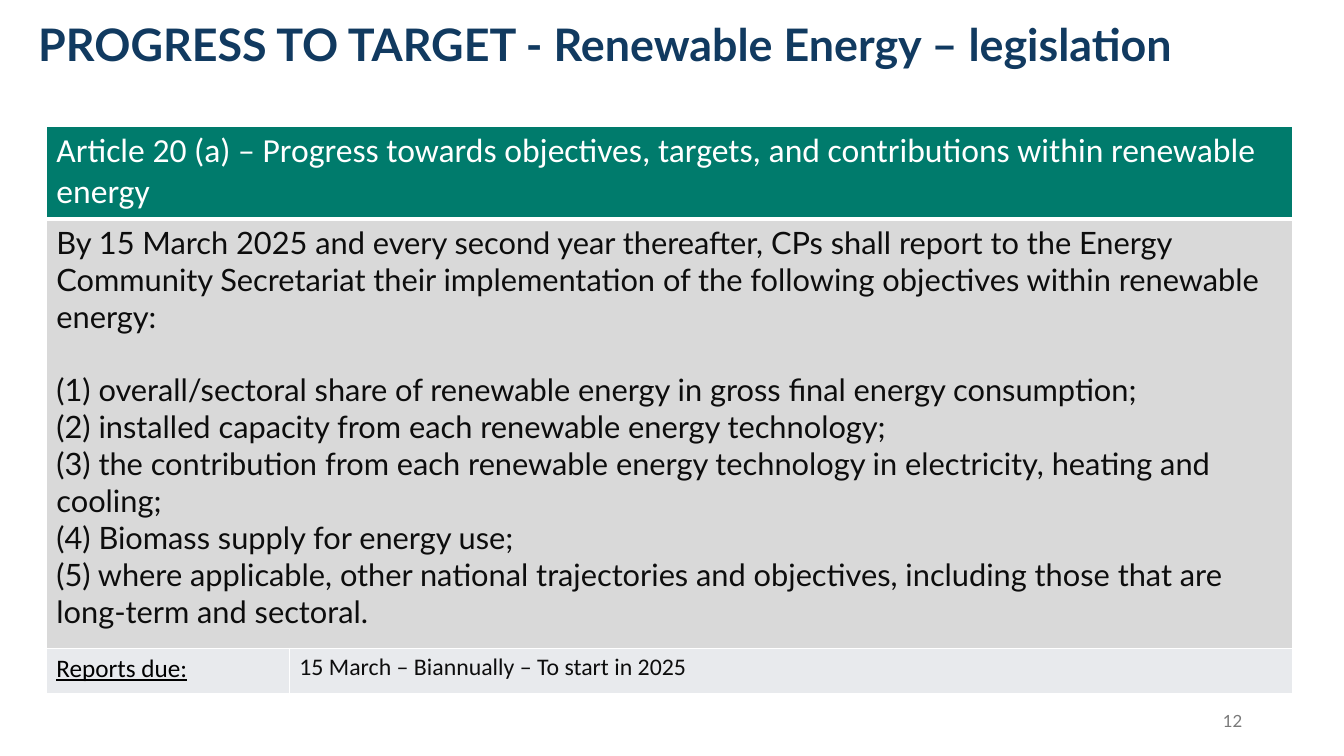
"""Build the renewable energy legislation slide with its reporting table."""
from dataclasses import dataclass

from lxml import etree
from pptx import Presentation
from pptx.dml.color import RGBColor
from pptx.enum.text import MSO_ANCHOR, PP_ALIGN
from pptx.oxml.ns import qn
from pptx.util import Inches, Pt


@dataclass(frozen=True)
class Theme:
    """Fonts, colours and type sizes of the slide."""
    body_font: str = "Lato"
    table_font: str = "Calibri"
    navy: str = "113A60"
    green: str = "007B6C"
    panel: str = "D9D9D9"
    footer: str = "E8EAED"
    white: str = "FFFFFF"
    ink: str = "0D0D0D"
    black: str = "000000"
    grey: str = "797979"
    title: float = 32
    header: float = 24
    body: float = 22
    label: float = 18
    due: float = 17
    number: float = 12


THEME = Theme()
HEADING = ("Article 20 (a) – Progress towards objectives, targets, "
           "and contributions within renewable energy")
INTRO = ("By 15 March 2025 and every second year thereafter, CPs shall report to the "
         "Energy Community Secretariat their implementation of the following objectives "
         "within renewable energy:")
OBJECTIVES = [
    "overall/sectoral share of renewable energy in gross final energy consumption;",
    "installed capacity from each renewable energy technology;",
    "the contribution from each renewable energy technology in electricity, "
    "heating and cooling;",
    "Biomass supply for energy use;",
    "where applicable, other national trajectories and objectives, "
    "including those that are long-term and sectoral.",
]


def write_lines(frame, lines, font, size, color, bold=False, underline=False):
    """Fill a text frame with one paragraph per line and format its runs."""
    frame.text = "\n".join(lines)
    for para in frame.paragraphs:
        for span in para.runs:
            span.font.name = font
            span.font.size = Pt(size)
            span.font.bold = bold
            span.font.underline = underline
            span.font.color.rgb = RGBColor.from_string(color)


def add_label(page, left, top, width, height, text, size, color, bold=False):
    """Add a wrapped one-line text box and return its frame."""
    box = page.shapes.add_textbox(Inches(left), Inches(top), Inches(width), Inches(height))
    frame = box.text_frame
    frame.word_wrap = True
    write_lines(frame, [text], THEME.body_font, size, color, bold)
    return frame


def set_borders(cell, top=1, bottom=1):
    """Draw white borders of the given point widths around a cell."""
    properties = cell._tc.get_or_add_tcPr()
    for side, width in (("L", 1), ("R", 1), ("T", top), ("B", bottom)):
        line = etree.SubElement(properties, qn(f"a:ln{side}"), w=str(Pt(width)))
        fill = etree.SubElement(line, qn("a:solidFill"))
        etree.SubElement(fill, qn("a:srgbClr"), val=THEME.white)


def add_reporting_table(page):
    """Add the table of the article, its objectives and the due date."""
    widths, heights = (2.41, 9.95), (0.92, 4.26, 0.45)
    table = page.shapes.add_table(
        len(heights), len(widths), Inches(0.46), Inches(1.25),
        Inches(sum(widths)), Inches(sum(heights))).table
    for column, width in zip(table.columns, widths):
        column.width = Inches(width)
    fills = (THEME.green, THEME.panel, THEME.footer)
    rules = (1, 3, 1, 1)
    for index, (row, height, color) in enumerate(zip(table.rows, heights, fills)):
        row.height = Inches(height)
        for cell in row.cells:
            set_borders(cell, rules[index], rules[index + 1])
            cell.fill.solid()
            cell.fill.fore_color.rgb = RGBColor.from_string(color)
    for index in (0, 1):
        table.cell(index, 0).merge(table.cell(index, 1))

    write_lines(table.cell(0, 0).text_frame, [HEADING],
                THEME.table_font, THEME.header, THEME.white)
    numbered = [f"({number}) {text}" for number, text in enumerate(OBJECTIVES, 1)]
    body = table.cell(1, 0).text_frame
    write_lines(body, [INTRO, *numbered], THEME.body_font, THEME.body, THEME.ink)
    body.paragraphs[1].space_before = Pt(THEME.body * 1.2)
    write_lines(table.cell(2, 0).text_frame, ["Reports due:"],
                THEME.table_font, THEME.label, THEME.black, underline=True)
    write_lines(table.cell(2, 1).text_frame, ["15 March – Biannually – To start in 2025"],
                THEME.table_font, THEME.due, THEME.ink)


def main():
    """Build and save the deck."""
    deck = Presentation()
    deck.slide_width, deck.slide_height = Inches(13.33), Inches(7.5)
    page = deck.slides.add_slide(deck.slide_layouts[6])
    add_reporting_table(page)
    number = add_label(page, 9.42, 6.95, 3, 0.4, "12", THEME.number, THEME.grey)
    number.vertical_anchor = MSO_ANCHOR.MIDDLE
    number.paragraphs[0].alignment = PP_ALIGN.RIGHT
    add_label(page, 0.28, 0.12, 13.05, 0.64,
              "PROGRESS TO TARGET - Renewable Energy – legislation",
              THEME.title, THEME.navy, bold=True)
    deck.save("out.pptx")


if __name__ == "__main__":
    main()
